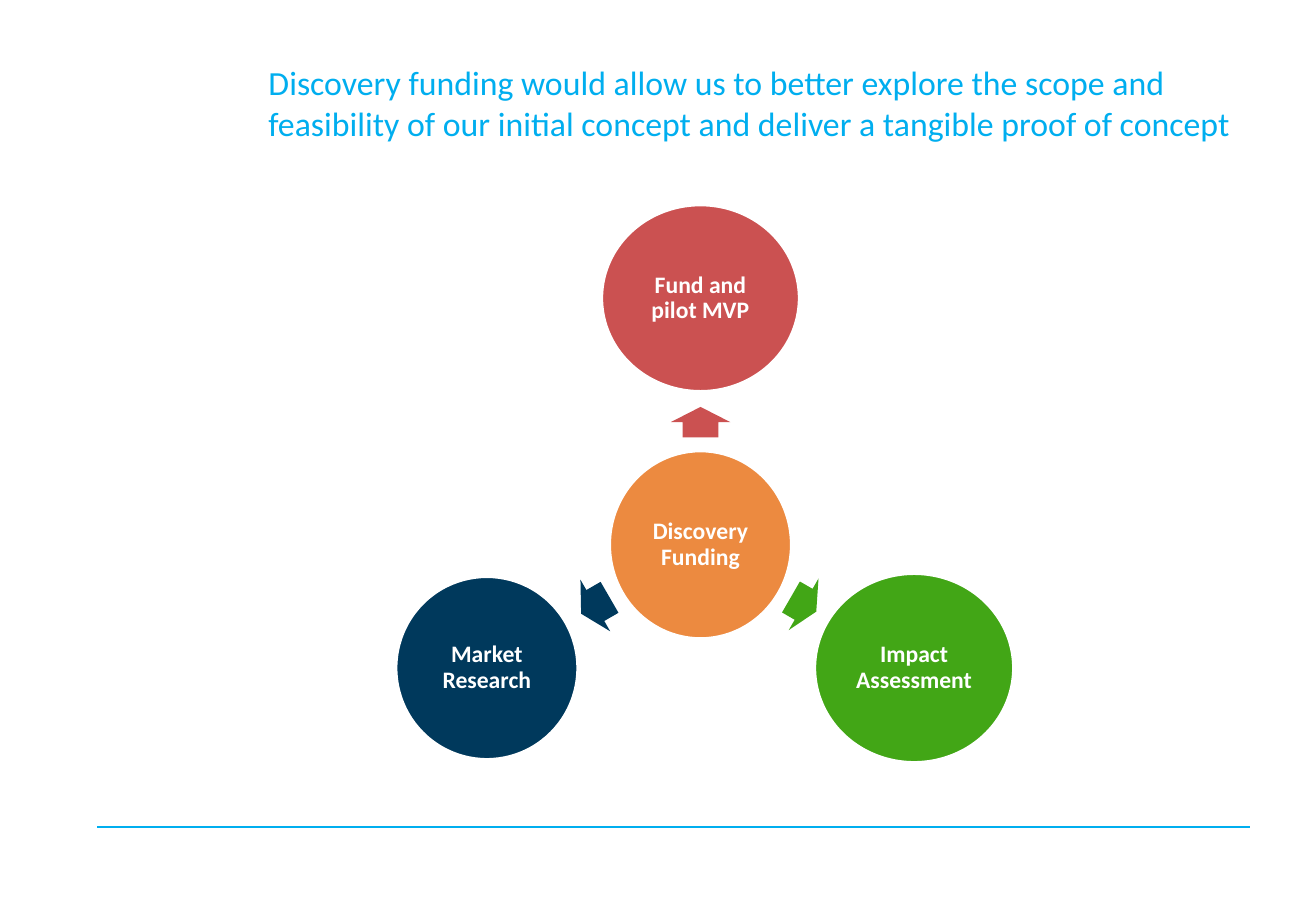
import collections
import dataclasses
import math

import pptx
import pptx.dml.color
import pptx.enum.shapes
import pptx.enum.text
import pptx.oxml
import pptx.util

EMU_PER_PX = 4572  # 200 px to the inch
SHAPES = pptx.enum.shapes.MSO_SHAPE
ALIGN = pptx.enum.text.PP_ALIGN

Box = collections.namedtuple("Box", "left top width height")
Node = collections.namedtuple("Node", "label color width height angle arrow_orbit arrow_length")


@dataclasses.dataclass(frozen=True)
class Theme:
    font: str = "Calibri"
    title_size: int = 20
    label_size: int = 14
    accent: str = "00AEEF"
    white: str = "FFFFFF"
    orange: str = "EC8A40"
    red: str = "CB5151"
    green: str = "42A616"
    navy: str = "00395C"


THEME = Theme()
SLIDE = Box(0, 0, 2166, 1500)
TITLE = Box(442, 68, 1600, 202)
DIAGRAM = Box(652, 336, 1016, 920)
FOOTER = Box(160, 1362, 1898, 0)

HUB_OFFSET = (501, 561)
HUB = Node("Discovery Funding", THEME.orange, 300, 310, 0, 0, 0)
ORBIT = 406
SATELLITES = [
    Node("Fund and pilot MVP", THEME.red, 326, 308, 270, 202, 50),
    Node("Impact Assessment", THEME.green, 328, 312, 30, 196, 48),
    Node("Market Research", THEME.navy, 300, 302, 150, 200, 54),
]
ARROW_BREADTH = 98


def px(length):
    return pptx.util.Emu(round(length * EMU_PER_PX))


def rgb(color):
    return pptx.dml.color.RGBColor.from_string(color)


def centered(center, width, height):
    return Box(center[0] - width / 2, center[1] - height / 2, width, height)


def polar(center, radius, angle):
    """Return the point at a clockwise angle in degrees from the right."""
    turn = math.radians(angle)
    return center[0] + radius * math.cos(turn), center[1] + radius * math.sin(turn)


def write_text(shape, text, *, size, color, bold=False, align=ALIGN.LEFT, spacing=1.0, inset=0):
    frame = shape.text_frame
    frame.word_wrap = True
    frame.vertical_anchor = pptx.enum.text.MSO_ANCHOR.MIDDLE
    frame.margin_left = frame.margin_right = px(inset)
    frame.margin_top = frame.margin_bottom = px(inset)
    paragraph = frame.paragraphs[0]
    paragraph.alignment = align
    paragraph.line_spacing = spacing
    run = paragraph.add_run()
    run.text = text
    run.font.name = THEME.font
    run.font.size = pptx.util.Pt(size)
    run.font.bold = bold
    run.font.color.rgb = rgb(color)


def add_filled(slide, kind, box, color):
    shape = slide.shapes.add_shape(kind, *map(px, box))
    shape.shadow.inherit = False
    shape.fill.solid()
    shape.fill.fore_color.rgb = rgb(color)
    shape.line.fill.background()
    return shape


def add_circle(slide, node, center):
    box = centered(center, node.width, node.height)
    circle = add_filled(slide, SHAPES.OVAL, box, node.color)
    circle.line.color.rgb = rgb(THEME.white)
    circle.line.width = pptx.util.Pt(2)
    write_text(circle, node.label, size=THEME.label_size, color=THEME.white,
               bold=True, align=ALIGN.CENTER, spacing=0.9, inset=4)


def add_arrow(slide, node, hub_center):
    center = polar(hub_center, node.arrow_orbit, node.angle)
    box = centered(center, node.arrow_length, ARROW_BREADTH)
    arrow = add_filled(slide, SHAPES.RIGHT_ARROW, box, node.color)
    arrow.rotation = node.angle
    arrow.adjustments[0] = 0.6
    arrow.adjustments[1] = 0.5


def add_footer_rule(slide, box):
    rule = slide.shapes.add_connector(
        pptx.enum.shapes.MSO_CONNECTOR.STRAIGHT,
        px(box.left), px(box.top), px(box.left + box.width), px(box.top + box.height))
    rule.line.color.rgb = rgb(THEME.accent)
    rule.line.width = pptx.util.Pt(1)
    properties = rule.element.spPr
    properties.append(properties.makeelement(pptx.oxml.ns.qn("a:effectLst"), {}))


def add_title(slide, box):
    title = slide.shapes.add_textbox(*map(px, box))
    write_text(title, "Discovery funding would allow us to better explore the scope and "
               "feasibility of our initial concept and deliver a tangible proof of concept",
               size=THEME.title_size, color=THEME.accent)


def add_radial_diagram(slide, box):
    hub_center = box.left + HUB_OFFSET[0], box.top + HUB_OFFSET[1]
    add_circle(slide, HUB, hub_center)
    for node in SATELLITES:
        add_arrow(slide, node, hub_center)
        add_circle(slide, node, polar(hub_center, ORBIT, node.angle))


def main():
    presentation = pptx.Presentation()
    presentation.slide_width = px(SLIDE.width)
    presentation.slide_height = px(SLIDE.height)
    slide = presentation.slides.add_slide(presentation.slide_layouts[6])
    add_footer_rule(slide, FOOTER)
    add_title(slide, TITLE)
    add_radial_diagram(slide, DIAGRAM)
    presentation.save("out.pptx")


if __name__ == "__main__":
    main()
